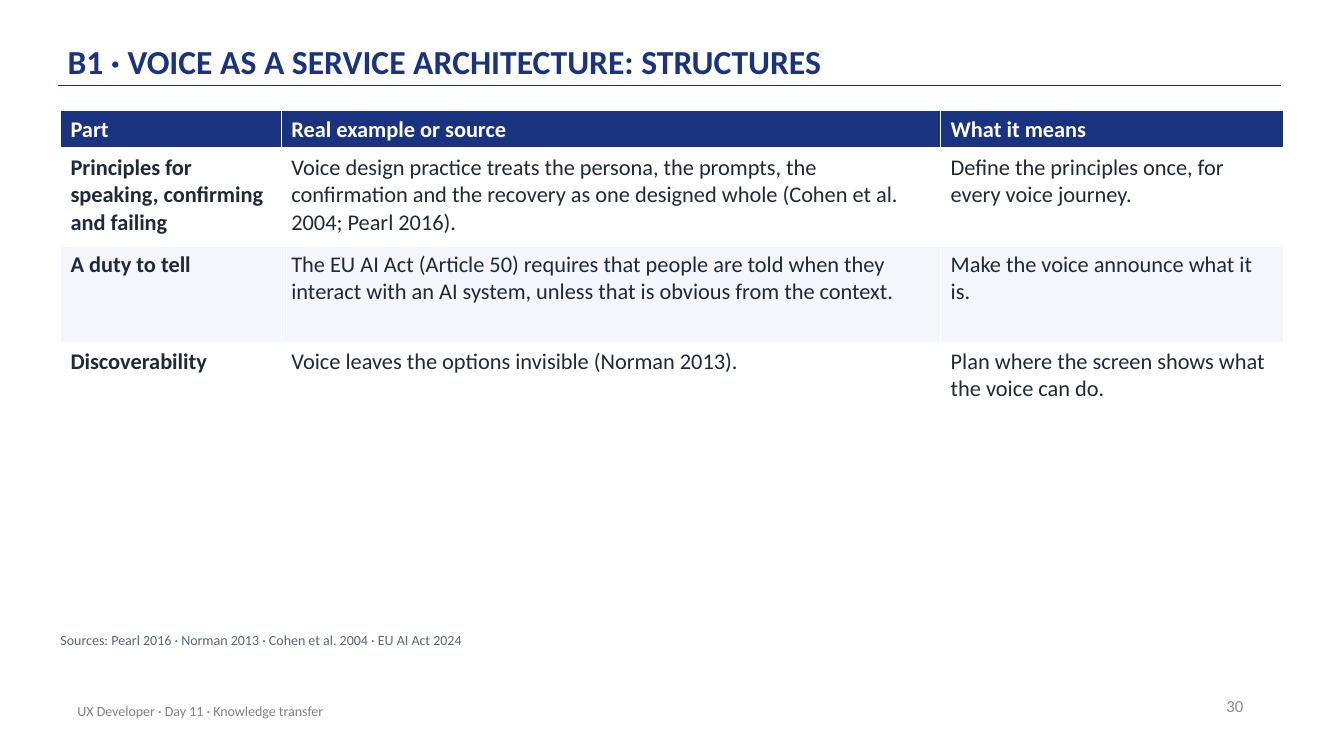
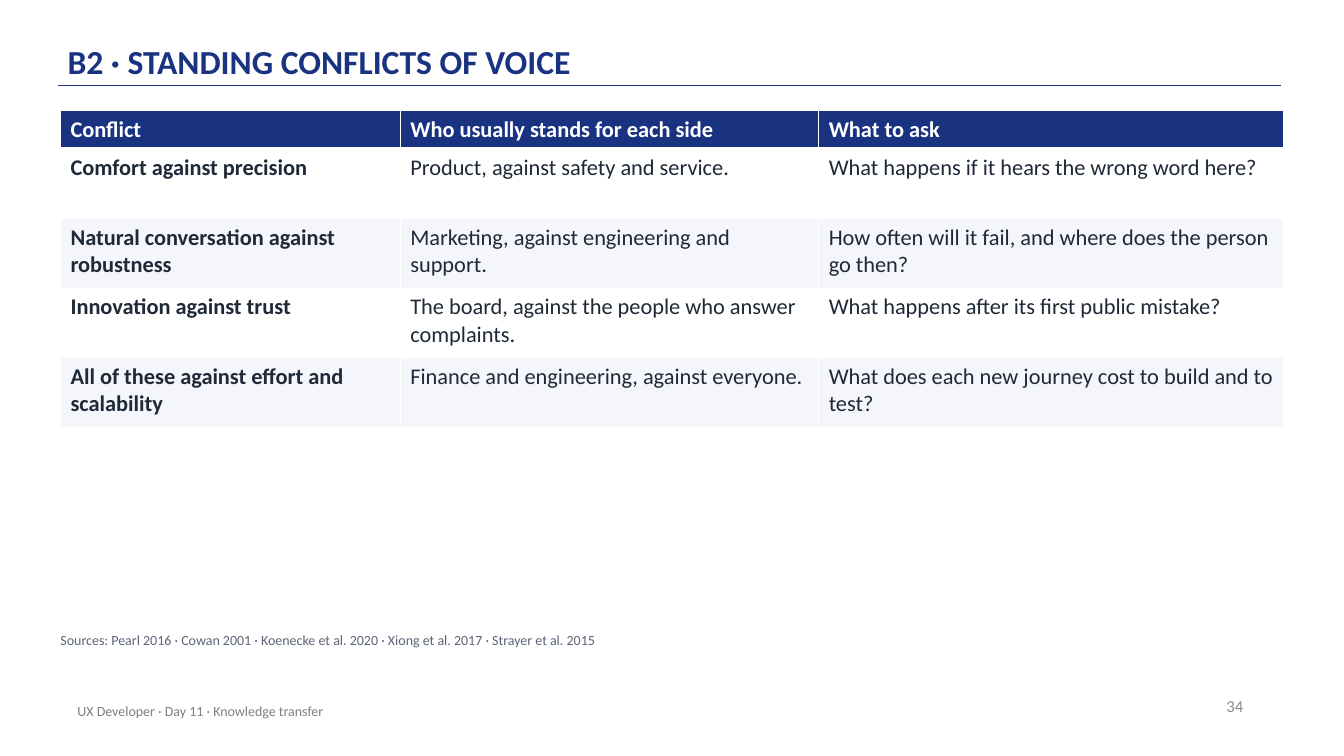
from lxml.etree import SubElement
from pptx import Presentation
from pptx.dml.color import RGBColor
from pptx.enum.shapes import MSO_CONNECTOR as Connector
from pptx.enum.text import MSO_ANCHOR as Anchor, PP_ALIGN as Align
from pptx.oxml.ns import qn
from pptx.util import Emu, Pt

NAVY = RGBColor(0x1A, 0x33, 0x81)
INK = RGBColor(0x1F, 0x29, 0x37)
SLATE = RGBColor(0x5B, 0x65, 0x77)
GREY = RGBColor(0x80, 0x80, 0x80)
LIGHT_GREY = RGBColor(0x8C, 0x8C, 0x8C)
PALE = RGBColor(0xF4, 0xF6, 0xFB)
WHITE = RGBColor(0xFF, 0xFF, 0xFF)

FONT = "Calibri"
FOOTER = "UX Developer · Day 11 · Knowledge transfer"
EMU_PER_PX = 9144
PAGE_SIZE = (1333, 750)
TABLE_LEFT, TABLE_TOP, TABLE_WIDTH = 60, 110, 1213
HEADER_HEIGHT = 38

SLIDES = [
    {
        "number": 30,
        "title": "B1 · VOICE AS A SERVICE ARCHITECTURE: STRUCTURES",
        "columns": (219, 654, 340),
        "heights": (96, 96, 69),
        "rows": [
            ("Part", "Real example or source", "What it means"),
            ("Principles for speaking, confirming and failing",
             "Voice design practice treats the persona, the prompts, the confirmation and the "
             "recovery as one designed whole (Cohen et al. 2004; Pearl 2016).",
             "Define the principles once, for every voice journey."),
            ("A duty to tell",
             "The EU AI Act (Article 50) requires that people are told when they interact with "
             "an AI system, unless that is obvious from the context.",
             "Make the voice announce what it is."),
            ("Discoverability",
             "Voice leaves the options invisible (Norman 2013).",
             "Plan where the screen shows what the voice can do."),
        ],
        "sources": "Sources: Pearl 2016 · Norman 2013 · Cohen et al. 2004 · EU AI Act 2024",
    },
    {
        "number": 34,
        "title": "B2 · STANDING CONFLICTS OF VOICE",
        "columns": (337, 415, 461),
        "heights": (69, 69, 69, 69),
        "rows": [
            ("Conflict", "Who usually stands for each side", "What to ask"),
            ("Comfort against precision",
             "Product, against safety and service.",
             "What happens if it hears the wrong word here?"),
            ("Natural conversation against robustness",
             "Marketing, against engineering and support.",
             "How often will it fail, and where does the person go then?"),
            ("Innovation against trust",
             "The board, against the people who answer complaints.",
             "What happens after its first public mistake?"),
            ("All of these against effort and scalability",
             "Finance and engineering, against everyone.",
             "What does each new journey cost to build and to test?"),
        ],
        "sources": "Sources: Pearl 2016 · Cowan 2001 · Koenecke et al. 2020 · "
                   "Xiong et al. 2017 · Strayer et al. 2015",
    },
]


def px(value):
    return Emu(value * EMU_PER_PX)


def style_text(frame, size, color, bold=False):
    para = frame.paragraphs[0]
    for span in para.runs:
        span.font.name = FONT
        span.font.size = Pt(size)
        span.font.bold = bold
        span.font.color.rgb = color
    return para


def add_text(page, text, place, size, color, bold=False, anchor=Anchor.MIDDLE, insets=(10, 5)):
    box = page.shapes.add_textbox(*map(px, place))
    frame = box.text_frame
    frame.word_wrap = True
    frame.vertical_anchor = anchor
    frame.margin_left = frame.margin_right = px(insets[0])
    frame.margin_top = frame.margin_bottom = px(insets[1])
    frame.text = text
    return style_text(frame, size, color, bold)


def add_frame(page, title, number):
    rule = page.shapes.add_connector(Connector.STRAIGHT, px(58), px(85), px(1271), px(85))
    rule.line.color.rgb = NAVY
    rule.line.width = Pt(1)
    SubElement(rule.element.spPr, qn("a:effectLst"))
    heading = add_text(page, title, (67, 12, 1100, 72), 24, NAVY, True, Anchor.BOTTOM, (0, 3))
    heading.line_spacing = 0.9
    page_number = add_text(page, str(number), (943, 680, 300, 40), 12, LIGHT_GREY)
    page_number.alignment = Align.RIGHT
    add_text(page, FOOTER, (67, 685, 670, 40), 10, GREY)


def add_borders(cell, bottom_width):
    properties = cell._tc.get_or_add_tcPr()
    for side, width in (("L", 1), ("R", 1), ("T", 1), ("B", bottom_width)):
        line = SubElement(properties, qn(f"a:ln{side}"), w=str(Pt(width)))
        fill = SubElement(line, qn("a:solidFill"))
        SubElement(fill, qn("a:srgbClr"), val=str(WHITE))


def add_grid(page, columns, heights, rows):
    heights = (HEADER_HEIGHT, *heights)
    place = (TABLE_LEFT, TABLE_TOP, TABLE_WIDTH, sum(heights))
    table = page.shapes.add_table(len(rows), len(columns), *map(px, place)).table
    table.first_row = table.horz_banding = False
    for column, width in zip(table.columns, columns):
        column.width = px(width)
    for r, (height, texts) in enumerate(zip(heights, rows)):
        table.rows[r].height = px(height)
        header = r == 0
        fill = NAVY if header else WHITE if r % 2 else PALE
        for c, text in enumerate(texts):
            cell = table.cell(r, c)
            add_borders(cell, 3 if header else 1)
            cell.fill.solid()
            cell.fill.fore_color.rgb = fill
            cell.text_frame.text = text
            style_text(cell.text_frame, 16, WHITE if header else INK, header or c == 0)


def main():
    deck = Presentation()
    deck.slide_width, deck.slide_height = map(px, PAGE_SIZE)
    for content in SLIDES:
        page = deck.slides.add_slide(deck.slide_layouts[6])
        add_frame(page, content["title"], content["number"])
        add_grid(page, content["columns"], content["heights"], content["rows"])
        sources = add_text(page, content["sources"], (60, 627, 1210, 30), 10, SLATE,
                           anchor=Anchor.TOP, insets=(0, 0))
        sources.space_after = Pt(6)
    deck.save("out.pptx")


if __name__ == "__main__":
    main()
